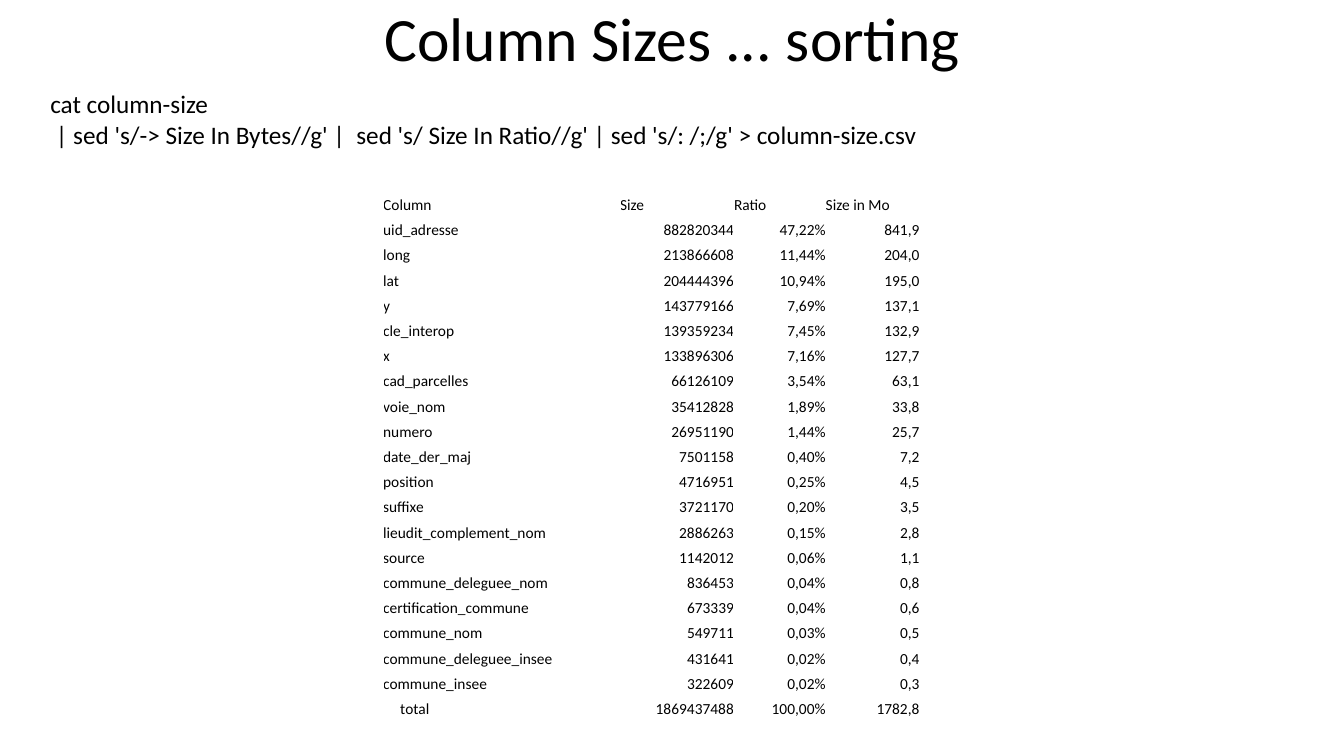
from pptx import Presentation
from pptx.dml.color import RGBColor
from pptx.enum.text import MSO_ANCHOR as Anchor, PP_ALIGN as Align
from pptx.util import Inches, Pt

FONT = "Calibri"
BLACK = "000000"
HEADER = ("Column", "Size", "Ratio", "Size in Mo")
COLUMN_SIZES = [
    ("uid_adresse", "882820344", "47,22%", "841,9"),
    ("long", "213866608", "11,44%", "204,0"),
    ("lat", "204444396", "10,94%", "195,0"),
    ("y", "143779166", "7,69%", "137,1"),
    ("cle_interop", "139359234", "7,45%", "132,9"),
    ("x", "133896306", "7,16%", "127,7"),
    ("cad_parcelles", "66126109", "3,54%", "63,1"),
    ("voie_nom", "35412828", "1,89%", "33,8"),
    ("numero", "26951190", "1,44%", "25,7"),
    ("date_der_maj", "7501158", "0,40%", "7,2"),
    ("position", "4716951", "0,25%", "4,5"),
    ("suffixe", "3721170", "0,20%", "3,5"),
    ("lieudit_complement_nom", "2886263", "0,15%", "2,8"),
    ("source", "1142012", "0,06%", "1,1"),
    ("commune_deleguee_nom", "836453", "0,04%", "0,8"),
    ("certification_commune", "673339", "0,04%", "0,6"),
    ("commune_nom", "549711", "0,03%", "0,5"),
    ("commune_deleguee_insee", "431641", "0,02%", "0,4"),
    ("commune_insee", "322609", "0,02%", "0,3"),
    ("total", "1869437488", "100,00%", "1782,8"),
]
COLUMN_WIDTHS = (2.35, 1.13, 0.91, 0.93)
ROW_HEIGHT = 0.25
TOTAL_INDENT = 0.17


def color(hex_code):
    return RGBColor.from_string(hex_code)


def add_run(paragraph, text, size):
    run = paragraph.add_run()
    run.text = text
    run.font.name = FONT
    run.font.size = Pt(size)
    run.font.color.rgb = color(BLACK)


def add_text(slide, left, top, width, height, lines, size,
             align=Align.LEFT, anchor=Anchor.TOP, spacing=1.0):
    frame = slide.shapes.add_textbox(
        Inches(left), Inches(top), Inches(width), Inches(height)).text_frame
    frame.word_wrap = True
    frame.vertical_anchor = anchor
    paragraph = frame.paragraphs[0]
    paragraph.alignment = align
    paragraph.line_spacing = spacing
    for index, line in enumerate(lines):
        if index:
            paragraph.add_line_break()
        add_run(paragraph, line, size)


def fill_cell(cell, text, align, indent):
    cell.fill.background()
    cell.vertical_anchor = Anchor.BOTTOM
    cell.margin_left = Inches(indent)
    cell.margin_right = cell.margin_top = cell.margin_bottom = 0
    paragraph = cell.text_frame.paragraphs[0]
    paragraph.alignment = align
    add_run(paragraph, text, 11)


def add_size_table(slide, left, top):
    rows = [HEADER, *COLUMN_SIZES]
    sizes = slide.shapes.add_table(
        len(rows), len(HEADER), Inches(left), Inches(top),
        Inches(sum(COLUMN_WIDTHS)), Inches(ROW_HEIGHT * len(rows))).table
    sizes.first_row = sizes.horz_banding = False
    for column, width in zip(sizes.columns, COLUMN_WIDTHS):
        column.width = Inches(width)
    for r, row in enumerate(rows):
        for c, text in enumerate(row):
            # Figures go right; the header and the names go left
            align = Align.RIGHT if r and c else Align.LEFT
            indent = TOTAL_INDENT if text == "total" else 0
            fill_cell(sizes.cell(r, c), text, align, indent)


def main():
    deck = Presentation()
    deck.slide_width, deck.slide_height = Inches(13.33), Inches(7.5)
    slide = deck.slides.add_slide(deck.slide_layouts[6])

    # Title
    add_text(slide, 0.92, 0, 11.5, 0.83, ["Column Sizes ... sorting"], 44,
             Align.CENTER, Anchor.MIDDLE, 0.9)
    # Shell command
    add_text(slide, 0.4, 0.83, 9.61, 0.71, [
        "cat column-size",
        " | sed 's/-> Size In Bytes//g' |  sed 's/ Size In Ratio//g'"
        " | sed 's/: /;/g' > column-size.csv",
    ], 18)
    # Sorted sizes
    add_size_table(slide, 3.8, 1.88)

    deck.save("out.pptx")


if __name__ == "__main__":
    main()
